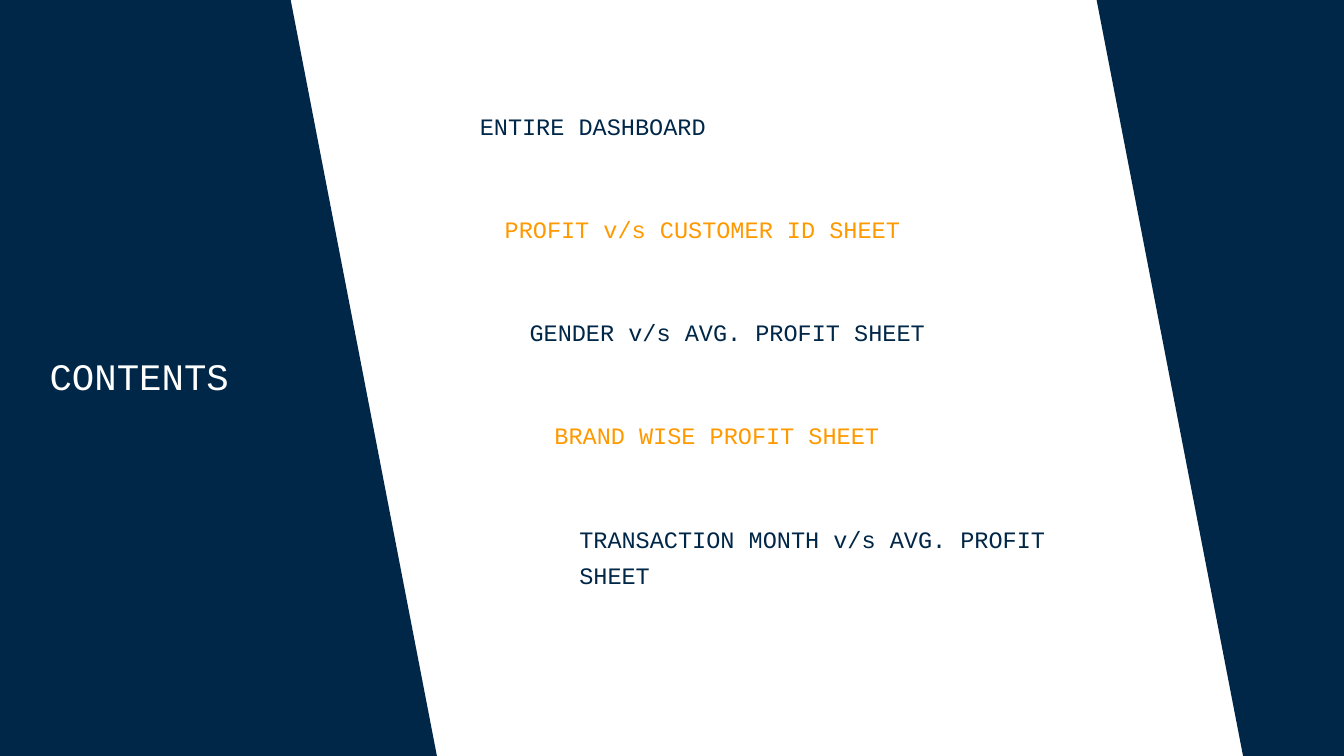
from pptx import Presentation
from pptx.dml.color import RGBColor
from pptx.enum.text import MSO_AUTO_SIZE as AutoSize, PP_ALIGN as Align
from pptx.util import Inches, Pt

WIDTH = 10
HEIGHT = WIDTH * 9 / 16
NAVY, ORANGE, WHITE = "002748", "FF9900", "FFFFFF"
FONT = "Courier New"

TITLE = "CONTENTS"
ENTRIES = [
    "ENTIRE DASHBOARD",
    "PROFIT v/s CUSTOMER ID SHEET",
    "GENDER v/s AVG. PROFIT SHEET",
    "BRAND WISE PROFIT SHEET",
    "TRANSACTION MONTH v/s AVG. PROFIT SHEET",
]
ENTRY_COLORS = [NAVY, ORANGE]
FIRST_ENTRY, LAST_ENTRY = (3.5, 0.73), (4.24, 3.8)
ENTRY_WIDTH, LINE_HEIGHT, WRAPPED_HEIGHT = 4.02, 0.35, 0.62
CHARACTERS_PER_LINE = 36

# Slanted side panels: outer edge, top and bottom, inner edge at top and bottom
PANELS = [
    (-0.04, -0.07, 5.67, 2.15, 3.26),
    (11.45, -0.05, 5.68, 8.15, 9.26),
]


def color(value):
    """Turn a hex string into a colour."""
    return RGBColor.from_string(value)


def add_panel(slide, outer, top, bottom, inner_top, inner_bottom):
    """Draw a navy panel with one slanted edge."""
    corners = [(outer, top), (outer, bottom), (inner_bottom, bottom), (inner_top, top)]
    start, *others = [(Inches(x), Inches(y)) for x, y in corners]
    builder = slide.shapes.build_freeform(*start)
    builder.add_line_segments(others, close=True)
    shape = builder.convert_to_shape()
    shape.shadow.inherit = False
    shape.fill.solid()
    shape.fill.fore_color.rgb = color(NAVY)
    shape.line.fill.background()


def add_text(slide, text, left, top, width, height, *, size, fill,
             align=Align.LEFT, spacing=None, insets=(0.1, 0.05)):
    """Place one wrapped paragraph of text."""
    box = slide.shapes.add_textbox(*map(Inches, (left, top, width, height)))
    frame = box.text_frame
    frame.word_wrap = True
    frame.auto_size = AutoSize.SHAPE_TO_FIT_TEXT
    frame.margin_left = frame.margin_right = Inches(insets[0])
    frame.margin_top = frame.margin_bottom = Inches(insets[1])
    paragraph = frame.paragraphs[0]
    paragraph.alignment = align
    paragraph.line_spacing = spacing
    run = paragraph.add_run()
    run.text = text
    run.font.name = FONT
    run.font.size = Pt(size)
    run.font.color.rgb = color(fill)


def main():
    """Build the contents slide."""
    presentation = Presentation()
    presentation.slide_width = Inches(WIDTH)
    presentation.slide_height = Inches(HEIGHT)
    slide = presentation.slides.add_slide(presentation.slide_layouts[6])
    slide.background.fill.solid()
    slide.background.fill.fore_color.rgb = color(WHITE)

    for panel in PANELS:
        add_panel(slide, *panel)
    for index, entry in enumerate(ENTRIES):
        share = index / (len(ENTRIES) - 1)
        left, top = (first + share * (last - first)
                     for first, last in zip(FIRST_ENTRY, LAST_ENTRY))
        wraps = len(entry) > CHARACTERS_PER_LINE
        add_text(slide, entry, left, top,
                 ENTRY_WIDTH, WRAPPED_HEIGHT if wraps else LINE_HEIGHT,
                 size=12.6, fill=ENTRY_COLORS[index % len(ENTRY_COLORS)],
                 spacing=1.3, insets=(0.07, 0.04))
    add_text(slide, TITLE, 0.27, 2.58, 2.21, 0.46,
             size=20, fill=WHITE, align=Align.JUSTIFY)
    presentation.save("out.pptx")


main()
